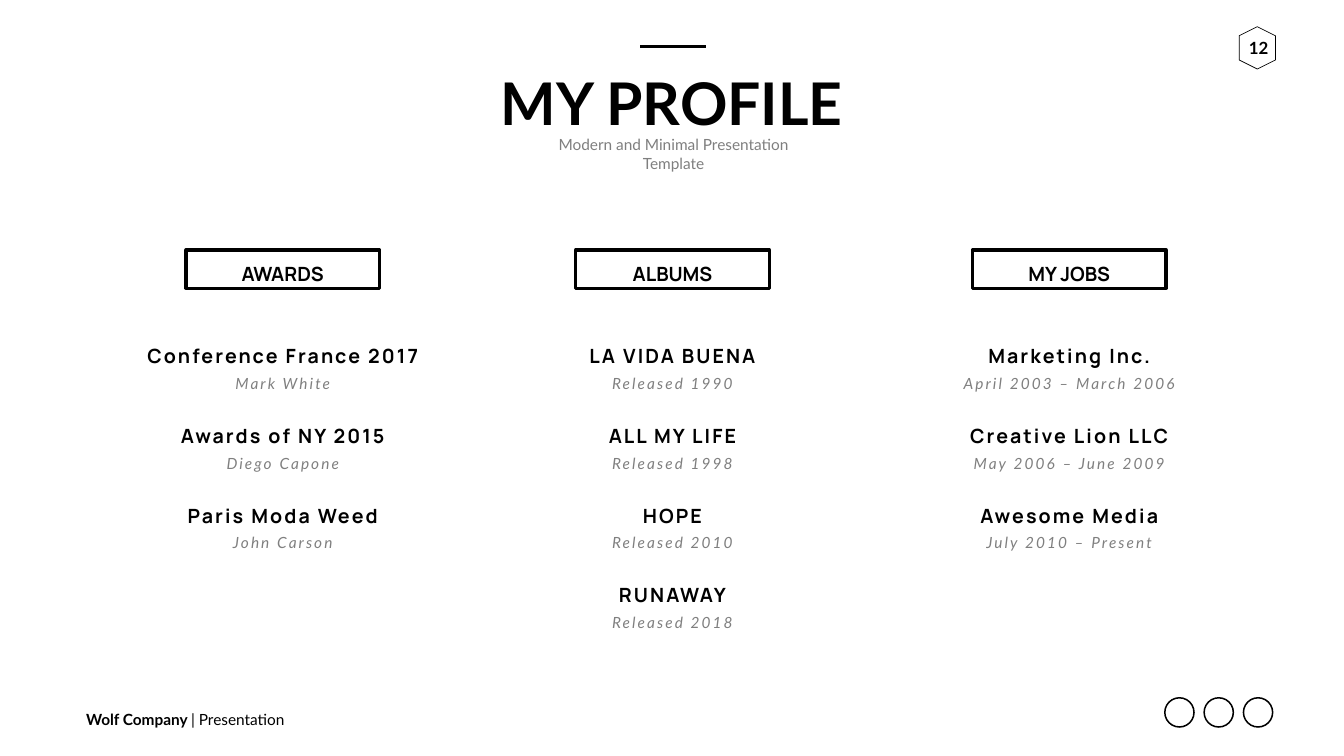
"""Build the profile slide with awards, albums and jobs in three columns."""
from dataclasses import dataclass

from lxml.etree import SubElement
from pptx import Presentation
from pptx.dml.color import RGBColor
from pptx.enum.shapes import MSO_CONNECTOR, MSO_SHAPE
from pptx.enum.text import MSO_ANCHOR, MSO_AUTO_SIZE, PP_ALIGN
from pptx.oxml.ns import qn
from pptx.util import Inches, Pt


@dataclass(frozen=True)
class Theme:
    black: RGBColor = RGBColor(0, 0, 0)
    gray: RGBColor = RGBColor(0x7F, 0x7F, 0x7F)
    body: str = "Lato"
    head: str = "Manrope"
    title: int = 84
    label: int = 28
    page: int = 24
    small: int = 22
    thick: float = 4.5
    thin: float = 1


class Deck:
    def __init__(self, theme, slide):
        self.theme = theme
        self.slide = slide

    def text(self, box, runs, align=PP_ALIGN.CENTER, anchor=MSO_ANCHOR.MIDDLE,
             wrap=False, space=0):
        shape = self.slide.shapes.add_textbox(*map(Inches, box))
        frame = shape.text_frame
        layout = {"word_wrap": wrap, "vertical_anchor": anchor,
                  "auto_size": MSO_AUTO_SIZE.SHAPE_TO_FIT_TEXT}
        for name, value in layout.items():
            setattr(frame, name, value)
        para = frame.paragraphs[0]
        para.alignment = align
        for words, style in runs:
            run = para.add_run()
            run.text = words
            look = {"name": self.theme.body, "size": self.theme.small,
                    "bold": False, "italic": False, **style}
            look["size"] = Pt(look["size"])
            run.font.color.rgb = look.pop("color", self.theme.black)
            for name, value in look.items():
                setattr(run.font, name, value)
            if space:
                run._r.get_or_add_rPr().set("spc", str(space * 100))

    def frame(self, kind, box, width, turn=0):
        shape = self.slide.shapes.add_shape(kind, *map(Inches, box))
        shape.shadow.inherit = False
        shape.rotation = turn
        shape.fill.background()
        shape.line.color.rgb = self.theme.black
        shape.line.width = Pt(width)

    def ring(self, left, top, size):
        shape = self.slide.shapes.add_shape(
            MSO_SHAPE.DONUT, *map(Inches, (left, top, size, size)))
        shape.shadow.inherit = False
        shape.adjustments[0] = 0.05
        shape.fill.solid()
        shape.fill.fore_color.rgb = self.theme.black
        shape.line.fill.background()

    def rule(self, left, right, top):
        line = self.slide.shapes.add_connector(
            MSO_CONNECTOR.STRAIGHT, *map(Inches, (left, top, right, top)))
        line.line.color.rgb = self.theme.black
        line.line.width = Pt(self.theme.thick)
        SubElement(line._element.spPr, qn("a:effectLst"))

    def column(self, mid, width, title, items):
        theme = self.theme
        head = {"name": theme.head, "size": theme.label, "bold": True}
        note = {"italic": True, "color": theme.gray}
        self.frame(MSO_SHAPE.RECTANGLE, (mid - 1.92, 4.96, 3.84, 0.76), theme.thick)
        self.text((mid - 0.95, 5.15, 1.9, 0.57), [(title, head)])
        for row, (name, detail) in enumerate(items):
            top = 6.78 + 1.58 * row
            left = mid - width / 2
            self.text((left, top, width, 0.57), [(name, head)], space=3)
            self.text((left, top + 0.59, width, 0.47), [(detail, note)], space=3)


COLUMNS = [
    (5.61, 5.9, "AWARDS", [
        ("Conference France 2017", "Mark White"),
        ("Awards of NY 2015", "Diego Capone"),
        ("Paris Moda Weed", "John Carson")]),
    (13.34, 3.7, "ALBUMS", [
        ("LA VIDA BUENA", "Released 1990"),
        ("ALL MY LIFE", "Released 1998"),
        ("HOPE", "Released 2010"),
        ("RUNAWAY", "Released 2018")]),
    (21.21, 4.4, "MY JOBS", [
        ("Marketing Inc.", "April 2003 – March 2006"),
        ("Creative Lion LLC", "May 2006 – June 2009"),
        ("Awesome Media", "July 2010 – Present")]),
]


def main():
    show = Presentation()
    show.slide_width, show.slide_height = Inches(26.66), Inches(15)
    theme = Theme()
    deck = Deck(theme, show.slides.add_slide(show.slide_layouts[6]))

    deck.text((1.61, 14.03, 4.17, 0.47),
              [("Wolf Company ", {"bold": True}), ("| Presentation", {})],
              align=PP_ALIGN.LEFT)
    deck.frame(MSO_SHAPE.HEXAGON, (24.52, 0.59, 0.84, 0.72), theme.thin, turn=90)
    deck.text((24.49, 0.65, 0.95, 0.61),
              [("12", {"size": theme.page, "bold": True})])
    for spot in range(3):
        deck.ring(23.09 + 0.78 * spot, 13.83, 0.61)

    deck.text((9.78, 1.28, 7.09, 1.51),
              [("MY PROFILE", {"size": theme.title, "bold": True})],
              anchor=MSO_ANCHOR.TOP)
    deck.text((10.38, 2.82, 5.96, 0.47),
              [("Modern and Minimal Presentation Template", {"color": theme.gray})],
              wrap=True)
    deck.rule(12.7, 14, 0.92)
    for column in COLUMNS:
        deck.column(*column)
    show.save("out.pptx")


if __name__ == "__main__":
    main()
